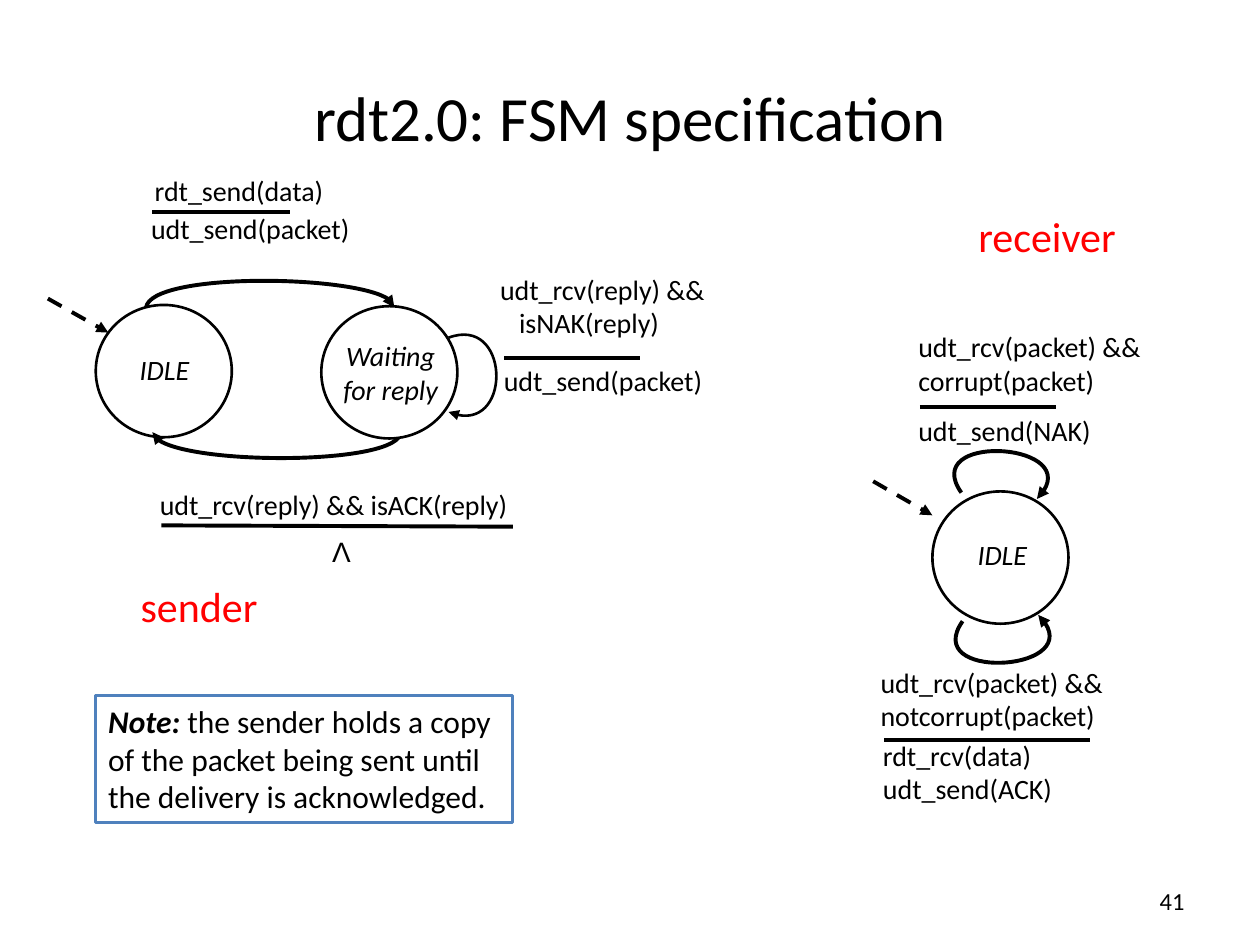
from dataclasses import dataclass

import pptx
import pptx.dml.color
import pptx.enum.dml
import pptx.enum.shapes
import pptx.enum.text
import pptx.oxml.ns
import pptx.util
from lxml import etree

Pt = pptx.util.Pt
qn = pptx.oxml.ns.qn
ALIGN = pptx.enum.text.PP_ALIGN
ANCHOR = pptx.enum.text.MSO_ANCHOR
SHAPE = pptx.enum.shapes.MSO_SHAPE
COLORS = {"ink": "000000", "paper": "FFFFFF", "role": "FF0000", "note": "4F81BD"}


@dataclass
class Label:
    x: float
    y: float
    w: float
    h: float
    lines: tuple
    size: float = 16
    color: str = "ink"
    font: str = "Calibri"
    align: ALIGN = ALIGN.LEFT
    anchor: ANCHOR = ANCHOR.TOP
    italic: bool = False
    wrap: bool = True
    indents: tuple = ()


@dataclass
class State:
    x: float
    y: float
    name: Label


@dataclass
class Curve:
    points: tuple
    width: float = 2.25


@dataclass
class Rule:
    start: tuple
    end: tuple
    entry: bool = False


def rgb(name: str) -> pptx.dml.color.RGBColor:
    return pptx.dml.color.RGBColor.from_string(COLORS[name])


def set_line(line, color: str, width: float) -> None:
    line.color.rgb = rgb(color)
    line.width = Pt(width)


def add_arrowhead(sp) -> None:
    ln = sp.line._get_or_add_ln()
    etree.SubElement(ln, qn("a:tailEnd"), type="triangle")


def set_font(p, size: float, color: str = "ink", font: str = "Calibri") -> None:
    p.font.size = Pt(size)
    p.font.name = font
    p.font.color.rgb = rgb(color)


def draw_label(shapes, label: Label) -> None:
    sp = shapes.add_textbox(Pt(label.x), Pt(label.y), Pt(label.w), Pt(label.h))
    tf = sp.text_frame
    tf.word_wrap = label.wrap
    tf.vertical_anchor = label.anchor
    tf.text = "\n".join(label.lines)
    for p in tf.paragraphs:
        p.alignment = label.align
        set_font(p, label.size, label.color, label.font)
        p.font.italic = label.italic
    for p, indent in zip(tf.paragraphs, label.indents):
        p._p.get_or_add_pPr().set("marL", str(Pt(indent)))


def draw_state(shapes, state: State) -> None:
    sp = shapes.add_shape(SHAPE.OVAL, Pt(state.x), Pt(state.y), Pt(77.76), Pt(75.6))
    sp.shadow.inherit = False
    sp.fill.solid()
    sp.fill.fore_color.rgb = rgb("paper")
    set_line(sp.line, "ink", 1.5)
    draw_label(shapes, state.name)


def draw_curve(shapes, curve: Curve) -> None:
    start, *rest = [(Pt(x), Pt(y)) for x, y in curve.points]
    builder = shapes.build_freeform(*start)
    builder.add_line_segments(rest, close=False)
    sp = builder.convert_to_shape()
    segments = list(sp._element.iter(qn("a:lnTo")))
    bezier = etree.SubElement(segments[0].getparent(), qn("a:cubicBezTo"))
    for segment in segments:
        bezier.append(segment[0])
        segment.getparent().remove(segment)
    sp.shadow.inherit = False
    sp.fill.background()
    set_line(sp.line, "ink", curve.width)
    add_arrowhead(sp)


def draw_rule(shapes, rule: Rule) -> None:
    ends = [Pt(v) for v in (*rule.start, *rule.end)]
    sp = shapes.add_connector(pptx.enum.shapes.MSO_CONNECTOR.STRAIGHT, *ends)
    etree.SubElement(sp._element.spPr, qn("a:effectLst"))
    set_line(sp.line, "ink", 2.25)
    if rule.entry:
        sp.line.dash_style = pptx.enum.dml.MSO_LINE.DASH
        add_arrowhead(sp)


def draw_note(shapes) -> None:
    sp = shapes.add_shape(SHAPE.RECTANGLE, Pt(54.72), Pt(397.44), Pt(238.32), Pt(72.72))
    sp.shadow.inherit = False
    sp.fill.background()
    set_line(sp.line, "note", 1.5)
    tf = sp.text_frame
    tf.word_wrap = True
    tf.vertical_anchor = ANCHOR.TOP
    p = tf.paragraphs[0]
    p.alignment = ALIGN.LEFT
    set_font(p, 18)
    r = p.add_run()
    r.text = "Note: "
    r.font.bold = r.font.italic = True
    p.add_run().text = "the sender holds a copy of the packet being sent until the delivery is acknowledged."


def state_name(x: float, y: float, w: float, *lines: str) -> Label:
    return Label(x, y, w, 48.24, lines, align=ALIGN.CENTER, italic=True)


def tag(x: float, y: float, w: float, h: float, text: str, **style) -> Label:
    return Label(x, y, w, h, (text,), align=ALIGN.CENTER, wrap=False, **style)


DIAGRAM = [
    State(54.72, 174.24, state_name(46.8, 198, 94.32, "IDLE")),
    Curve(((83.52, 175.68), (86.4, 155.52), (225.36, 156.96), (225.36, 175.68))),
    Curve(((228.96, 246.96), (228.96, 265.68), (90, 266.4), (87.12, 246.96))),
    Curve(((256.32, 192.96), (290.88, 180), (293.04, 250.56), (256.32, 235.44)), 1.5),
    State(183.6, 174.96, state_name(180.72, 190.08, 84.96, "Waiting", "for reply")),
    Curve(((549.36, 281.52), (525.6, 247.68), (624.24, 252.72), (592.56, 285.12))),
    State(532.8, 280.8, state_name(525.6, 303.84, 94.32, "IDLE")),
    Curve(((550.08, 354.96), (526.32, 388.8), (625.68, 383.76), (593.28, 351.36))),
    Rule((27.36, 170.64), (61.92, 190.08), entry=True),
    Rule((498.96, 275.04), (532.8, 294.48), entry=True),
    Rule((87.12, 120.96), (165.6, 120.96)),
    Rule((288, 204.48), (365.76, 204.48)),
    Rule((92.16, 300.24), (293.04, 300.96)),
    Rule((525.6, 232.56), (603.36, 232.56)),
    Rule((505.44, 422.64), (622.8, 422.64)),
    Label(81.36, 95.76, 177.84, 33.84, ("rdt_send(data)",)),
    Label(79.2, 117.36, 286.56, 31.68, ("udt_send(packet)",)),
    Label(278.64, 151.92, 186.48, 49.68, ("udt_rcv(reply) &&", "isNAK(reply)"), indents=(0, 10.85)),
    Label(280.8, 204.48, 138.96, 31.68, ("udt_send(packet)",)),
    Label(84.24, 275.04, 298.8, 22.32, ("udt_rcv(reply) && isACK(reply)",)),
    tag(182.16, 301.68, 25.92, 26.64, "Λ", font="Arial"),
    Label(517.68, 185.04, 151.2, 24.48, ("udt_rcv(packet) && corrupt(packet)",)),
    Label(517.68, 232.56, 144, 20.16, ("udt_send(NAK)",)),
    Label(496.08, 376.56, 169.92, 55.44, ("udt_rcv(packet) && notcorrupt(packet)",)),
    Label(497.52, 418.32, 168.48, 48.96, ("rdt_rcv(data)", "udt_send(ACK)")),
    tag(72.72, 328.32, 82.08, 36, "sender", size=24, color="role"),
    tag(551.52, 116.64, 93.6, 36, "receiver", size=24, color="role"),
    Label(516.24, 500.4, 167.76, 28.8, ("41",), size=14, align=ALIGN.RIGHT, anchor=ANCHOR.MIDDLE),
]
DRAW = {State: draw_state, Curve: draw_curve, Rule: draw_rule, Label: draw_label}


def main() -> None:
    prs = pptx.Presentation()
    prs.slide_width, prs.slide_height = Pt(720), Pt(540)
    s = prs.slides.add_slide(prs.slide_layouts[5])
    title = s.shapes.title
    title.left, title.top, title.width, title.height = Pt(36), Pt(21.6), Pt(648), Pt(90)
    title.text_frame.text = "rdt2.0: FSM specification"
    title.text_frame.vertical_anchor = ANCHOR.MIDDLE
    p = title.text_frame.paragraphs[0]
    p.alignment = ALIGN.CENTER
    set_font(p, 36)
    for item in DIAGRAM:
        DRAW[type(item)](s.shapes, item)
    draw_note(s.shapes)
    prs.save("out.pptx")


if __name__ == "__main__":
    main()
